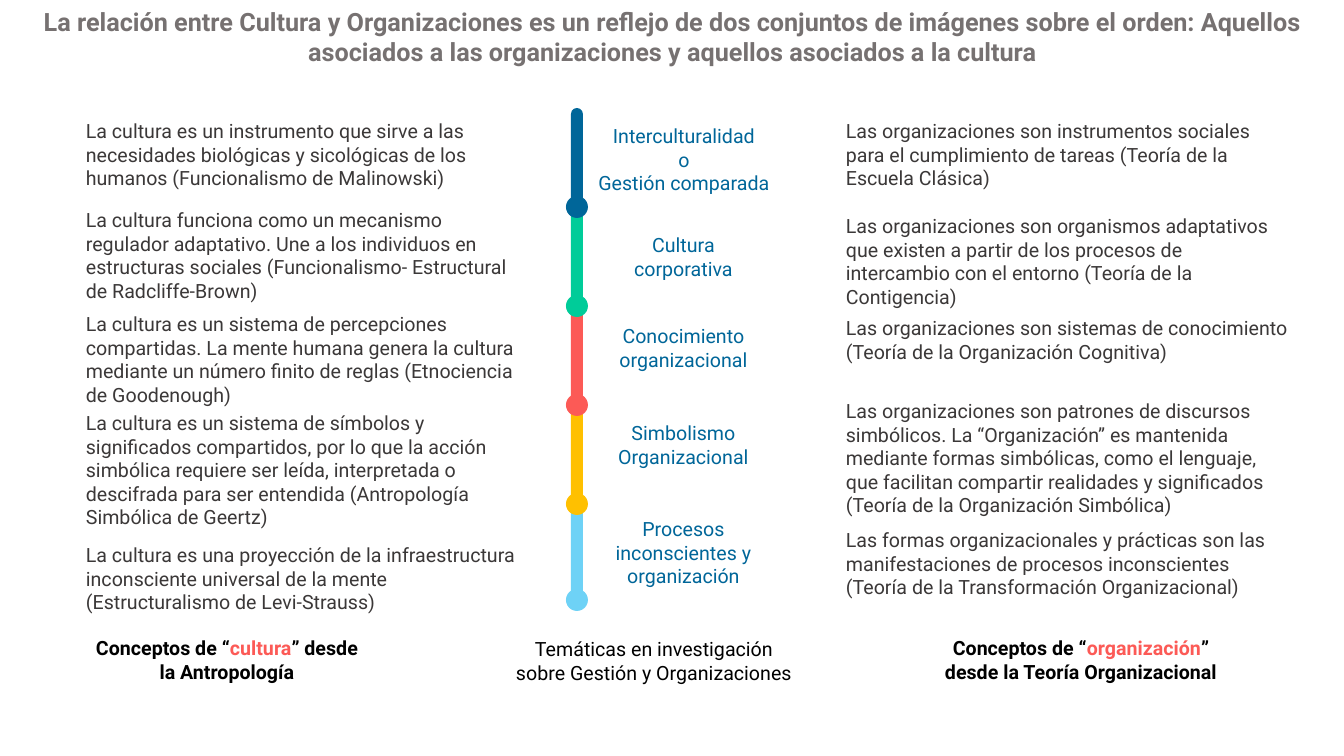
"""Build the slide relating concepts of culture and of organisation along a timeline."""
from pptx import Presentation
from pptx.dml.color import RGBColor
from pptx.enum.shapes import MSO_SHAPE
from pptx.enum.text import MSO_ANCHOR, MSO_AUTO_SIZE, PP_ALIGN
from pptx.util import Pt

THEME = {
    "font": "Roboto", "title_size": 18, "text_size": 14,
    "title": "767171", "body": "3B3838", "topic": "006699",
    "caption": "000000", "accent": "FC5A56",
    "stages": ["006699", "00CC99", "FC5A56", "FFC000", "6ED2F6"],
}

TITLE = ("La relación entre Cultura y Organizaciones es un reflejo de dos conjuntos de imágenes "
         "sobre el orden: Aquellos asociados a las organizaciones y aquellos asociados a la cultura")

# Each entry: top, number of lines, text
CULTURE = [
    (114, 3, "La cultura es un instrumento que sirve a las necesidades biológicas y sicológicas "
             "de los humanos (Funcionalismo de Malinowski)"),
    (203, 4, "La cultura funciona como un mecanismo regulador adaptativo. Une a los individuos en "
             "estructuras sociales (Funcionalismo- Estructural de Radcliffe-Brown)"),
    (307, 4, "La cultura es un sistema de percepciones compartidas. La mente humana genera la "
             "cultura mediante un número finito de reglas (Etnociencia de Goodenough)"),
    (406, 5, "La cultura es un sistema de símbolos y significados compartidos, por lo que la acción "
             "simbólica requiere ser leída, interpretada o descifrada para ser entendida "
             "(Antropología Simbólica de Geertz)"),
    (538, 3, "La cultura es una proyección de la infraestructura inconsciente universal de la mente "
             "(Estructuralismo de Levi-Strauss)"),
]
WIDE_TOPIC = (119, 3, "Interculturalidad\no\nGestión comparada")
TOPICS = [
    (228, 2, "Cultura corporativa"),
    (319, 2, "Conocimiento organizacional"),
    (416, 2, "Simbolismo Organizacional"),
    (512, 3, "Procesos inconscientes y organización"),
]
ORGANIZATION = [
    (114, 3, "Las organizaciones son instrumentos sociales para el cumplimiento de tareas "
             "(Teoría de la Escuela Clásica)"),
    (209, 4, "Las organizaciones son organismos adaptativos que existen a partir de los procesos de "
             "intercambio con el entorno (Teoría de la Contigencia)"),
    (311, 2, "Las organizaciones son sistemas de conocimiento (Teoría de la Organización Cognitiva)"),
    (394, 5, "Las organizaciones son patrones de discursos simbólicos. La “Organización” es mantenida "
             "mediante formas simbólicas, como el lenguaje, que facilitan compartir realidades y "
             "significados (Teoría de la Organización Simbólica)"),
    (523, 3, "Las formas organizacionales y prácticas son las manifestaciones de procesos "
             "inconscientes (Teoría de la Transformación Organizacional)"),
]
# Left, top, bold, runs; the second run takes the accent colour
CAPTIONS = [
    (76, 631, True, ["Conceptos de “", "cultura", "” desde la Antropología"]),
    (503, 632, False, ["Temáticas en investigación sobre Gestión y Organizaciones"]),
    (930, 631, True, ["Conceptos de “", "organización", "” desde la Teoría Organizacional"]),
]
COLUMNS = [
    (76, 464, PP_ALIGN.LEFT, "body", CULTURE),
    (587, 194, PP_ALIGN.CENTER, "topic", [WIDE_TOPIC]),
    (601, 165, PP_ALIGN.CENTER, "topic", TOPICS),
    (836, 464, PP_ALIGN.LEFT, "body", ORGANIZATION),
]
CAPTION_W, LINE_H, PADDING = 302, 24, 10
AXIS_X, AXIS_TOP, STAGE_H, BAR_W, DOT, LAST_DOT_Y = 577, 108, 99, 12, 22, 600


def px(*values):
    return [round(v * 914400 / 100.8) for v in values]


def color(name):
    return RGBColor.from_string(THEME.get(name, name))


def style(tf, size, name, align, bold=False):
    tf.word_wrap = True
    tf.auto_size = MSO_AUTO_SIZE.NONE
    tf.vertical_anchor = MSO_ANCHOR.TOP
    for p in tf.paragraphs:
        p.alignment = align
        p.font.name, p.font.size, p.font.bold = THEME["font"], Pt(THEME[size]), bold
        p.font.color.rgb = color(name)


def add_text(s, x, y, w, lines, runs, name, align, bold=False):
    tf = s.shapes.add_textbox(*px(x, y, w, lines * LINE_H + PADDING)).text_frame
    tf.text = runs[0]
    for i, text in enumerate(runs[1:]):
        r = tf.paragraphs[0].add_run()
        r.text = text
        if i == 0:
            r.font.color.rgb = color("accent")
    style(tf, "text_size", name, align, bold)


def add_shape(s, kind, x, y, w, h, fill):
    sp = s.shapes.add_shape(kind, *px(x, y, w, h))
    sp.shadow.inherit = False
    sp.fill.solid()
    sp.fill.fore_color.rgb = color(fill)
    sp.line.fill.background()
    return sp


prs = Presentation()
prs.slide_width, prs.slide_height = px(1344, 756)
s = prs.slides.add_slide(prs.slide_layouts[5])
title = s.shapes.title
title.left, title.top, title.width, title.height = px(20, 1, 1305, 72)
title.text_frame.text = TITLE
style(title.text_frame, "title_size", "title", PP_ALIGN.CENTER, True)

for i, fill in enumerate(THEME["stages"]):
    bar = add_shape(s, MSO_SHAPE.ROUNDED_RECTANGLE, AXIS_X - BAR_W / 2,
                    AXIS_TOP + i * STAGE_H, BAR_W, STAGE_H, fill)
    bar.adjustments[0] = 0.5
for i, fill in enumerate(THEME["stages"], 1):
    center = min(AXIS_TOP + i * STAGE_H, LAST_DOT_Y)
    add_shape(s, MSO_SHAPE.OVAL, AXIS_X - DOT / 2, center - DOT / 2, DOT, DOT, fill)

for x, w, align, name, entries in COLUMNS:
    for y, lines, text in entries:
        add_text(s, x, y, w, lines, [text], name, align)
for x, y, bold, runs in CAPTIONS:
    add_text(s, x, y, CAPTION_W, 2, runs, "caption", PP_ALIGN.CENTER, bold)

prs.save("out.pptx")
